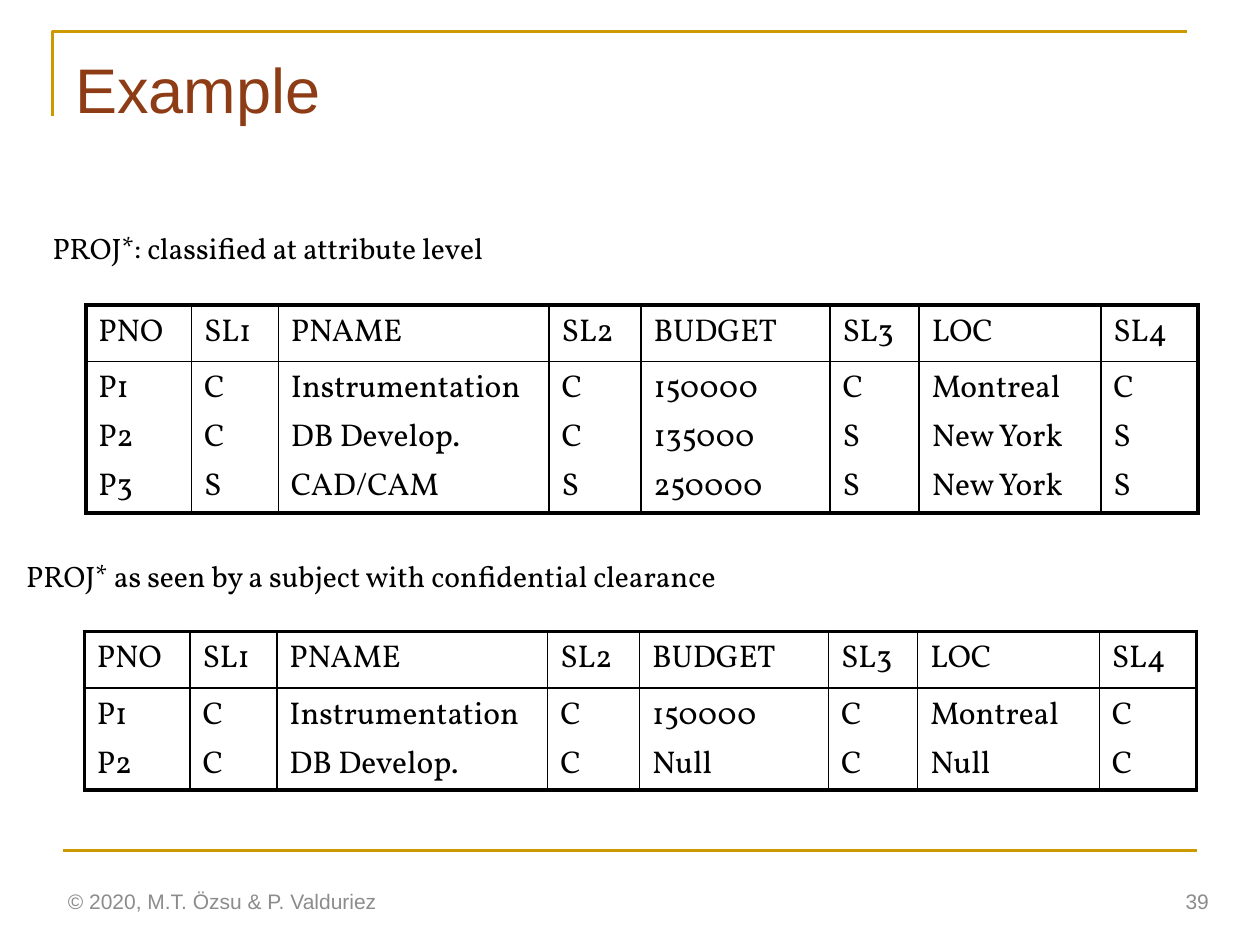
from lxml import etree
from pptx import Presentation
from pptx.dml.color import RGBColor
from pptx.enum.shapes import MSO_CONNECTOR
from pptx.enum.text import MSO_ANCHOR, MSO_AUTO_SIZE, PP_ALIGN
from pptx.oxml.ns import qn
from pptx.util import Cm, Pt

STRAIGHT = MSO_CONNECTOR.STRAIGHT
TOP, MIDDLE = MSO_ANCHOR.TOP, MSO_ANCHOR.MIDDLE
LEFT, RIGHT = PP_ALIGN.LEFT, PP_ALIGN.RIGHT
FIT_SHAPE = MSO_AUTO_SIZE.SHAPE_TO_FIT_TEXT

COLORS = {"rule": "CC9900", "title": "8D3C15", "text": "000000", "footer": "8C8C8C"}
SANS, SERIF = "Arial", "Vollkorn"
THIN, THICK = 1, 2.25

COLUMN_WIDTHS = [2.13, 1.75, 5.46, 1.85, 3.81, 1.8, 3.66, 1.96]
HEADERS = ["PNO", "SL1", "PNAME", "SL2", "BUDGET", "SL3", "LOC", "SL4"]
ALL_PROJECTS = [
    ["P1", "C", "Instrumentation", "C", "150000", "C", "Montreal", "C"],
    ["P2", "C", "DB Develop.", "C", "135000", "S", "New York", "S"],
    ["P3", "S", "CAD/CAM", "S", "250000", "S", "New York", "S"],
]
CONFIDENTIAL_VIEW = [
    ["P1", "C", "Instrumentation", "C", "150000", "C", "Montreal", "C"],
    ["P2", "C", "DB Develop.", "C", "Null", "C", "Null", "C"],
]


class SlideBuilder:
    def __init__(self, slide):
        self.slide = slide

    def color(self, name):
        return RGBColor.from_string(COLORS[name])

    def style_font(self, paragraph, name, size, color):
        paragraph.font.name = name
        paragraph.font.size = Pt(size)
        paragraph.font.color.rgb = self.color(color)

    def style_rule(self, shape):
        shape.line.color.rgb = self.color("rule")
        shape.line.width = Pt(1.5)

    def corner(self, left, top, right, bottom):
        builder = self.slide.shapes.build_freeform(Cm(left), Cm(bottom))
        builder.add_line_segments(
            [(Cm(left), Cm(top)), (Cm(right), Cm(top))], close=False)
        shape = builder.convert_to_shape()
        shape.shadow.inherit = False
        shape.fill.background()
        self.style_rule(shape)

    def rule(self, left, right, y):
        connector = self.slide.shapes.add_connector(
            STRAIGHT, Cm(left), Cm(y), Cm(right), Cm(y))
        etree.SubElement(connector._element.spPr, qn("a:effectLst"))
        self.style_rule(connector)

    def text(self, text, box, font, size, color, anchor=TOP, align=LEFT, wrap=True):
        shape = self.slide.shapes.add_textbox(*map(Cm, box))
        frame = shape.text_frame
        frame.word_wrap = wrap
        frame.vertical_anchor = anchor
        if not wrap:
            frame.auto_size = FIT_SHAPE
        paragraph = frame.paragraphs[0]
        paragraph.text = text
        paragraph.alignment = align
        self.style_font(paragraph, font, size, color)
        return shape

    def caption(self, text, left, top, width):
        self.text(text, (left, top, width, 0.97), SERIF, 16.9, "text", wrap=False)

    def borders(self, cell, widths):
        properties = cell._tc.get_or_add_tcPr()
        for index, (side, width) in enumerate(widths.items()):
            line = etree.Element(qn(f"a:ln{side}"), w=str(Pt(width)))
            fill = etree.SubElement(line, qn("a:solidFill"))
            etree.SubElement(fill, qn("a:srgbClr"), val=COLORS["text"])
            properties.insert(index, line)

    def table(self, records, left, top, body_height):
        # All records share one body row, one paragraph per record
        rows = [HEADERS, ["\n".join(values) for values in zip(*records)]]
        heights = [1.14, body_height]
        table = self.slide.shapes.add_table(
            len(rows), len(HEADERS), Cm(left), Cm(top),
            Cm(sum(COLUMN_WIDTHS)), Cm(sum(heights))).table
        table.first_row = table.horz_banding = False
        for column, width in zip(table.columns, COLUMN_WIDTHS):
            column.width = Cm(width)
        last_row, last_column = len(rows) - 1, len(HEADERS) - 1
        for r, values in enumerate(rows):
            table.rows[r].height = Cm(heights[r])
            for c, value in enumerate(values):
                cell = table.cell(r, c)
                cell.fill.background()
                cell.text = value
                for paragraph in cell.text_frame.paragraphs:
                    paragraph.line_spacing = 0.9
                    paragraph.space_before = Pt(5.4)
                    self.style_font(paragraph, SERIF, 18, "text")
                outer = {"L": c == 0, "R": c == last_column,
                         "T": r == 0, "B": r == last_row}
                self.borders(cell, {side: THICK if edge else THIN
                                    for side, edge in outer.items()})


def main():
    presentation = Presentation()
    presentation.slide_width, presentation.slide_height = Cm(25.4), Cm(19.05)
    builder = SlideBuilder(presentation.slides.add_slide(presentation.slide_layouts[6]))

    # Frame lines and title
    builder.corner(1.06, 0.64, 23.92, 2.33)
    builder.rule(1.27, 24.13, 17.15)
    title = builder.text("Example", (1.27, 0.76, 22.86, 3.18), SANS, 36, "title")
    title.text_frame.margin_top = Cm(0.25)

    # Full relation
    builder.table(ALL_PROJECTS, 1.73, 6.15, 3.05)
    builder.caption("PROJ*: classified at attribute level", 0.81, 4.52, 9.42)

    # Relation at confidential clearance
    builder.table(CONFIDENTIAL_VIEW, 1.7, 12.73, 2.06)
    builder.caption("PROJ* as seen by a subject with confidential clearance",
                    0.28, 11.13, 14.81)

    # Footer and slide number
    builder.text("© 2020, M.T. Özsu & P. Valduriez", (1.12, 17.65, 8.59, 1.02),
                 SANS, 12, "footer", anchor=MIDDLE)
    builder.text("39", (18.9, 17.65, 5.72, 1.02),
                 SANS, 12, "footer", anchor=MIDDLE, align=RIGHT)

    presentation.save("out.pptx")


if __name__ == "__main__":
    main()
